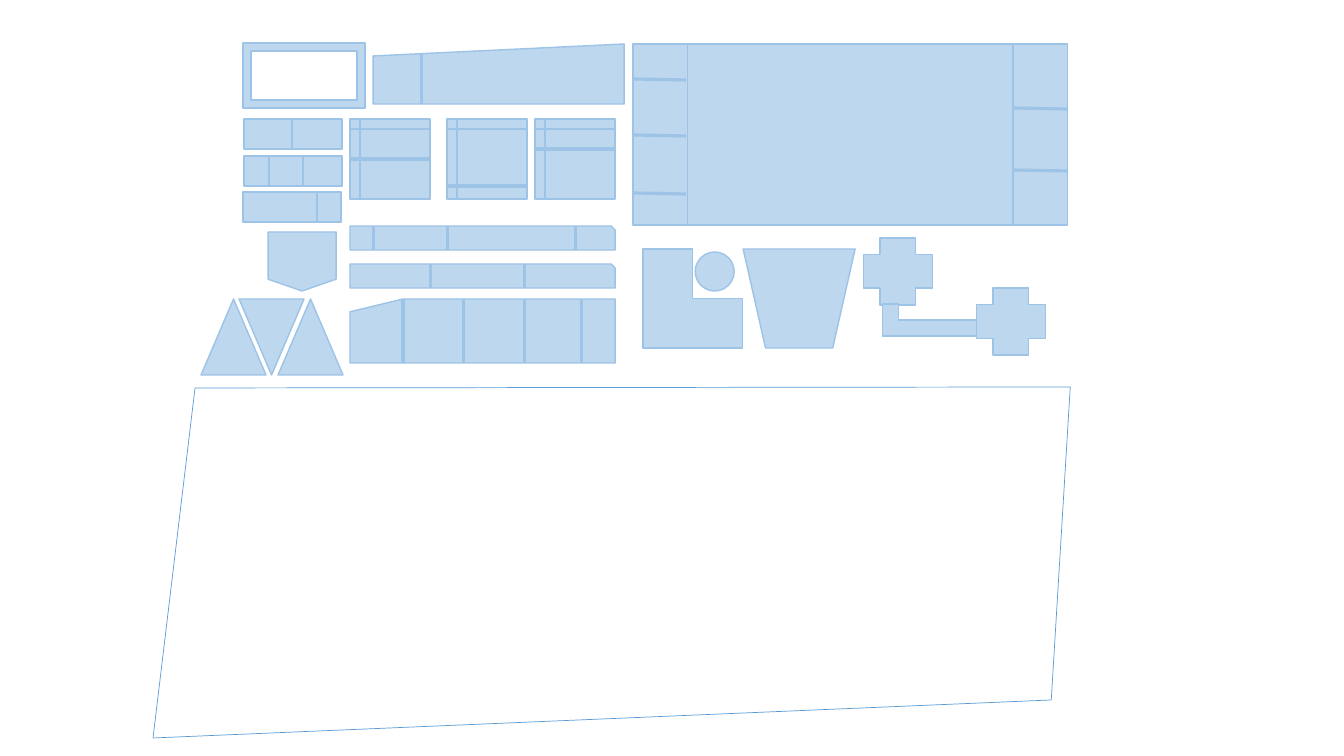
import dataclasses
import itertools

import lxml.etree
import pptx
import pptx.dml.color
import pptx.enum.shapes
import pptx.oxml.ns
import pptx.slide
import pptx.util

EMU_PER_PIXEL = 914400 / 100.8
Kind = pptx.enum.shapes.MSO_SHAPE


@dataclasses.dataclass(frozen=True)
class Theme:
    panel_fill: str = "BDD7EE"
    panel_line: str = "9DC3E6"
    boundary_line: str = "5B9BD5"
    outline_width: float = 1
    thin_cut: float = 1.5
    thick_cut: float = 2.25
    boundary_width: float = 0.5


THEME = Theme()


@dataclasses.dataclass(frozen=True)
class Panel:
    kind: Kind
    left: int
    top: int
    width: int
    height: int
    rotation: int = 0
    vertical_cuts: tuple[int, ...] = ()
    horizontal_cuts: tuple[int, ...] = ()
    cut_width: float = THEME.thick_cut


@dataclasses.dataclass(frozen=True)
class Line:
    start: tuple[int, int]
    end: tuple[int, int]
    color: str = THEME.panel_line
    width: float = THEME.thick_cut


def pixels(value: int) -> pptx.util.Emu:
    return pptx.util.Emu(round(value * EMU_PER_PIXEL))


def color(value: str) -> pptx.dml.color.RGBColor:
    return pptx.dml.color.RGBColor.from_string(value)


def draw_panel(slide: pptx.slide.Slide, panel: Panel) -> None:
    bounds = map(pixels, (panel.left, panel.top, panel.width, panel.height))
    shape = slide.shapes.add_shape(panel.kind, *bounds)
    shape.rotation = panel.rotation
    shape.shadow.inherit = False
    shape.fill.solid()
    shape.fill.fore_color.rgb = color(THEME.panel_fill)
    shape.line.color.rgb = color(THEME.panel_line)
    shape.line.width = pptx.util.Pt(THEME.outline_width)


def draw_line(slide: pptx.slide.Slide, line: Line) -> None:
    connector = slide.shapes.add_connector(
        pptx.enum.shapes.MSO_CONNECTOR.STRAIGHT, *map(pixels, line.start + line.end)
    )
    connector.line.color.rgb = color(line.color)
    connector.line.width = pptx.util.Pt(line.width)
    properties = connector._element.spPr
    lxml.etree.SubElement(properties, pptx.oxml.ns.qn("a:effectLst"))


def panel_cuts(panel: Panel) -> list[Line]:
    right = panel.left + panel.width
    bottom = panel.top + panel.height
    vertical = [
        Line((x, panel.top), (x, bottom), width=panel.cut_width)
        for x in panel.vertical_cuts
    ]
    horizontal = [
        Line((panel.left, y), (right, y), width=panel.cut_width)
        for y in panel.horizontal_cuts
    ]
    return vertical + horizontal


LARGE_SHEET = Panel(Kind.FLOWCHART_PREDEFINED_PROCESS, 633, 44, 434, 181)
SLANTED_STRIP = Panel(Kind.FLOWCHART_MANUAL_INPUT, 373, 44, 251, 60)
SQUARES = [
    Panel(Kind.FLOWCHART_INTERNAL_STORAGE, left, 119, 80, 80, horizontal_cuts=(cut,))
    for left, cut in ((535, 149), (447, 186), (350, 159))
]
STRIPS = [
    Panel(kind, 350, top, 265, height, vertical_cuts=cuts)
    for kind, top, height, cuts in (
        (Kind.SNIP_1_RECTANGLE, 226, 24, (373, 447, 575)),
        (Kind.SNIP_1_RECTANGLE, 264, 24, (430, 524)),
        (Kind.FLOWCHART_CARD, 299, 64, (403, 463, 524, 581)),
    )
]
BARS = [
    Panel(Kind.RECTANGLE, left, top, 98, 30, vertical_cuts=cuts, cut_width=THEME.thin_cut)
    for left, top, cuts in ((244, 119, (292,)), (244, 156, (269, 303)), (243, 192, (317,)))
]
CROSSES = [Panel(Kind.CROSS, left, top, 69, 67) for left, top in ((863, 238), (976, 288))]
TRIANGLES = [
    Panel(Kind.FLOWCHART_EXTRACT, left, 299, 65, 76, rotation)
    for left, rotation in ((278, 0), (239, 180), (201, 0))
]
PANELS = [
    LARGE_SHEET,
    SLANTED_STRIP,
    *SQUARES,
    Panel(Kind.CORNER, 643, 249, 99, 99),
    *STRIPS,
    Panel(Kind.FLOWCHART_MANUAL_OPERATION, 743, 249, 112, 99),
    Panel(Kind.FLOWCHART_CONNECTOR, 695, 252, 39, 39),
    Panel(Kind.FLOWCHART_OFFPAGE_CONNECTOR, 268, 232, 68, 59),
    *BARS,
    *CROSSES,
    Panel(Kind.FRAME, 243, 43, 122, 65),
    Panel(Kind.CORNER, 882, 304, 94, 32),
    *TRIANGLES,
]
SHEET_CUTS = [
    Line((left, top), (right, top + 1))
    for left, right, tops in ((633, 686, (79, 135, 193)), (1012, 1067, (108, 170)))
    for top in tops
]
STRIP_CUT = Line((421, 53), (421, 104))
BOUNDARY_CORNERS = ((195, 388), (153, 738), (1051, 700), (1070, 387), (195, 388))
BOUNDARY = [
    Line(start, end, THEME.boundary_line, THEME.boundary_width)
    for start, end in itertools.pairwise(BOUNDARY_CORNERS)
]


def main() -> None:
    presentation = pptx.Presentation()
    presentation.slide_width = pptx.util.Inches(13.33)
    presentation.slide_height = pptx.util.Inches(7.5)
    slide = presentation.slides.add_slide(presentation.slide_layouts.get_by_name("Blank"))
    for panel in PANELS:
        draw_panel(slide, panel)
    cuts = itertools.chain.from_iterable(map(panel_cuts, PANELS))
    for line in itertools.chain(cuts, SHEET_CUTS, [STRIP_CUT], BOUNDARY):
        draw_line(slide, line)
    presentation.save("out.pptx")


main()
